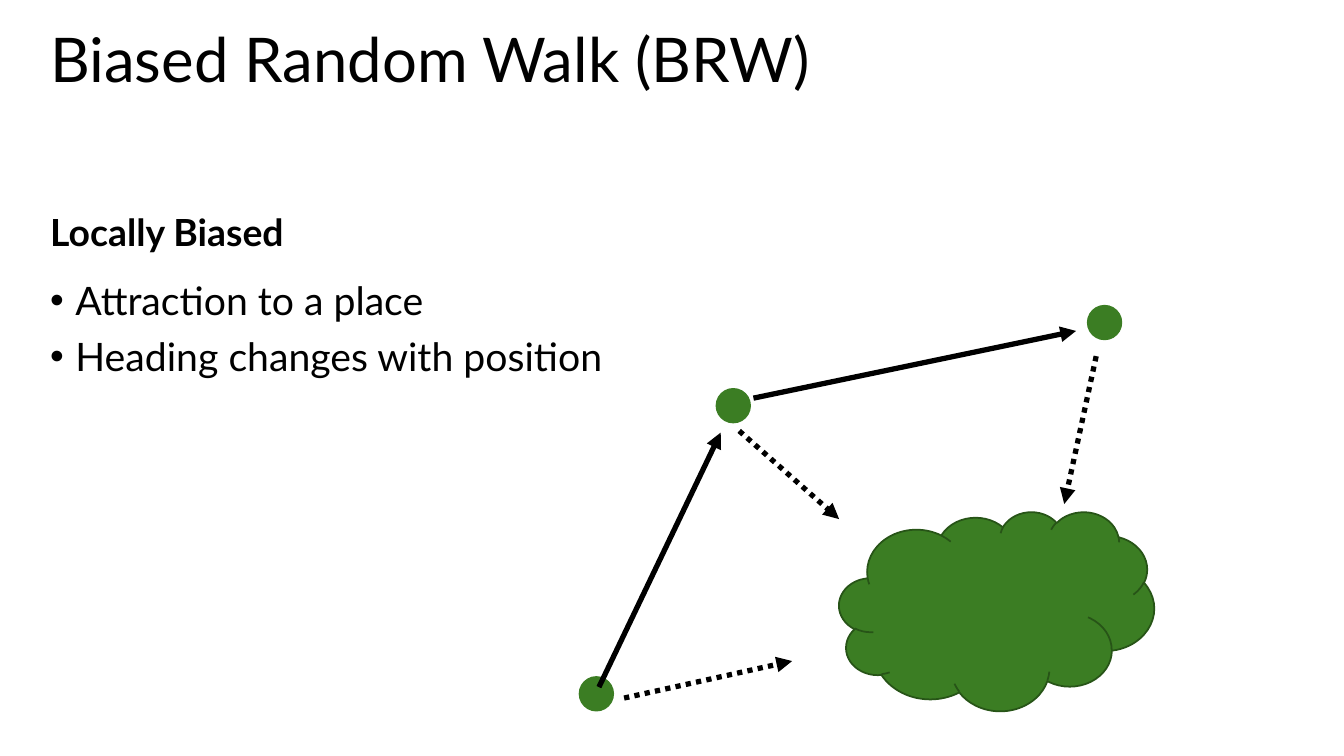
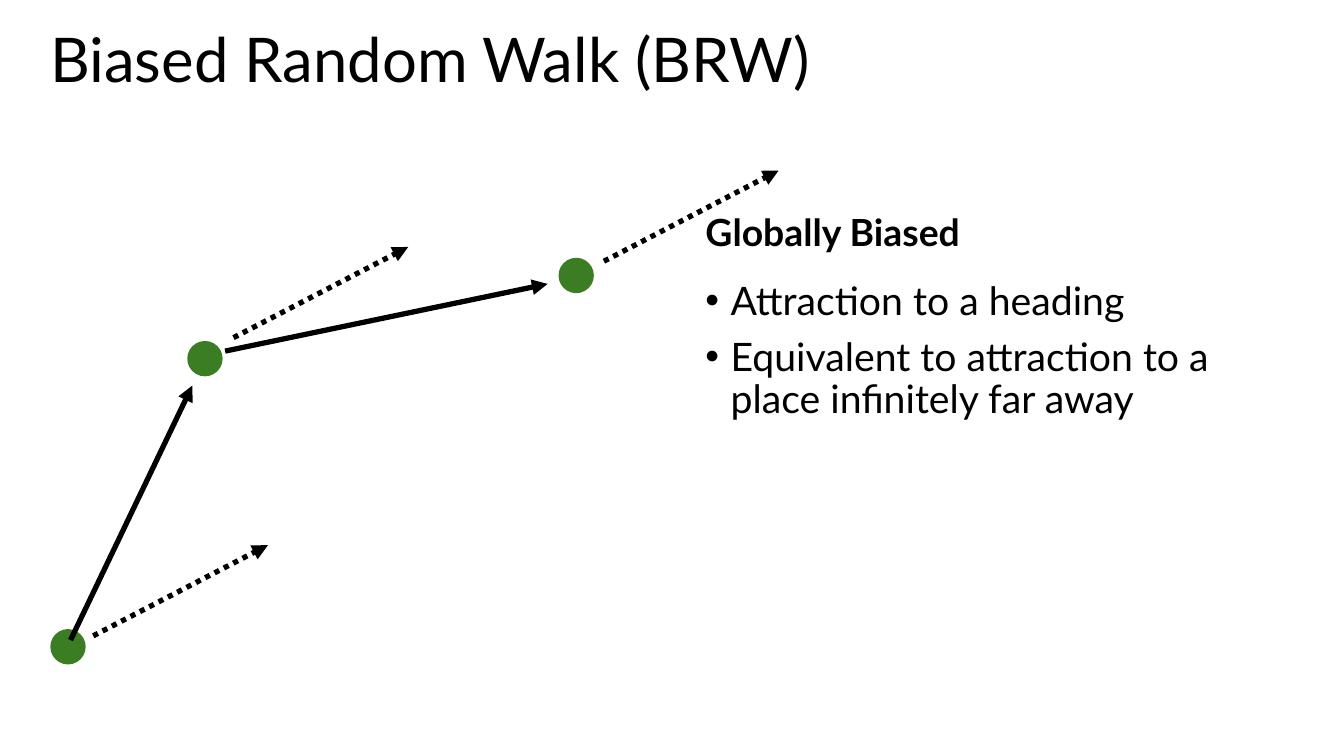
from lxml.etree import SubElement
from pptx import Presentation
from pptx.dml.color import RGBColor
from pptx.enum.dml import MSO_LINE
from pptx.enum.shapes import MSO_CONNECTOR, MSO_SHAPE as SHAPE
from pptx.enum.text import MSO_ANCHOR as ANCHOR, PP_ALIGN
from pptx.oxml.ns import qn
from pptx.util import Inches, Pt

BLACK = RGBColor(0x00, 0x00, 0x00)
GREEN = RGBColor(0x3B, 0x7D, 0x23)
DARK_GREEN = RGBColor(0x27, 0x54, 0x17)

COLS, ROWS = 16, 9
DOT = 0.4

# Walk geometry, relative to the centre of the first dot
STOPS = [(0, 0), (1.63, -3.43), (6.05, -4.42)]
STEPS = [((0.03, -0.08), (1.48, -3.11)), ((1.87, -3.52), (5.71, -4.32))]

TITLE = dict(size=Pt(52.8), bold=False)
HEADING = dict(size=Pt(32), bold=True)
BODY = dict(size=Pt(33.6), bold=False)


class Deck:
    """Shared style and the current slide, on a grid of 16 columns by 9 rows."""

    font = dict(name="Lato")

    def __init__(self):
        self.prs = Presentation()
        self.prs.slide_width, self.prs.slide_height = Inches(COLS), Inches(ROWS)
        self.slide = None

    def grid(self, col, row):
        return (round(self.prs.slide_width * col / COLS),
                round(self.prs.slide_height * row / ROWS))

    def new_slide(self, title):
        self.slide = self.prs.slides.add_slide(self.prs.slide_layouts[5])
        sp = self.slide.shapes.title
        sp.left, sp.top = self.grid(0.5, 0)
        sp.width, sp.height = self.grid(15, 1.5)
        self.fill_text(sp.text_frame, [title], TITLE, ANCHOR.MIDDLE)

    def fill_text(self, tf, lines, style, anchor, bullets=False):
        tf.word_wrap, tf.vertical_anchor = True, anchor
        for i, line in enumerate(lines):
            p = tf.add_paragraph() if i else tf.paragraphs[0]
            if bullets:
                pPr = p._p.get_or_add_pPr()
                pPr.set("marL", str(Inches(0.3)))
                pPr.set("indent", str(-Inches(0.3)))
                SubElement(pPr, qn("a:buFont"), typeface="Arial")
                SubElement(pPr, qn("a:buChar"), char="•")
            p.alignment, p.line_spacing = PP_ALIGN.LEFT, 0.9
            p.space_before = Pt(12 if i else 0)
            r = p.add_run()
            r.text = line
            for key, value in {**self.font, **style}.items():
                setattr(r.font, key, value)
            r.font.color.rgb = BLACK

    def text(self, col, row, height, *content, **options):
        sp = self.slide.shapes.add_textbox(*self.grid(col, row),
                                           *self.grid(7.2, height))
        self.fill_text(sp.text_frame, *content, **options)

    def topic(self, col, heading, points):
        self.text(col, 2, 1.08, [heading], HEADING, ANCHOR.BOTTOM)
        self.text(col, 3.3, 4.7, points, BODY, ANCHOR.TOP, bullets=True)

    def shape(self, kind, col, row, width, height, outline=GREEN):
        sp = self.slide.shapes.add_shape(kind, *self.grid(col, row),
                                         *self.grid(width, height))
        sp.shadow.inherit = False
        sp.fill.solid()
        sp.fill.fore_color.rgb = GREEN
        sp.line.color.rgb, sp.line.width = outline, Pt(1.5)

    def arrow(self, start, end, dotted=False):
        line = self.slide.shapes.add_connector(
            MSO_CONNECTOR.STRAIGHT, *self.grid(*start), *self.grid(*end))
        line.line.color.rgb, line.line.width = BLACK, Pt(4.5)
        if dotted:
            line.line.dash_style = MSO_LINE.ROUND_DOT
        spPr = line._element.spPr
        SubElement(spPr.find(qn("a:ln")), qn("a:tailEnd"), type="triangle")
        SubElement(spPr, qn("a:effectLst"))

    def walk(self, col, row):
        for dx, dy in STOPS:
            self.shape(SHAPE.OVAL, col + dx - DOT / 2, row + dy - DOT / 2, DOT, DOT)
        for (x1, y1), (x2, y2) in STEPS:
            self.arrow((col + x1, row + y1), (col + x2, row + y2))


def main():
    deck = Deck()

    # Local bias: every dotted arrow points to the cloud
    deck.new_slide("Biased Random Walk (BRW)")
    deck.topic(0.5, "Locally Biased",
               ["Attraction to a place", "Heading changes with position"])
    deck.walk(7.1, 8.26)
    for start, end in [((7.43, 8.31), (9.43, 7.87)),
                       ((8.8, 5.13), (9.99, 6.18)),
                       ((13.05, 4.24), (12.67, 6))]:
        deck.arrow(start, end, dotted=True)
    deck.shape(SHAPE.CLOUD, 9.99, 6.09, 3.75, 2.37, outline=DARK_GREEN)

    # Global bias: every dotted arrow has the same heading
    deck.new_slide("Biased Random Walk (BRW)")
    deck.topic(8.3, "Globally Biased",
               ["Attraction to a heading",
                "Equivalent to attraction to a place infinitely far away"])
    deck.walk(0.81, 7.7)
    for col, row in [(1.11, 7.57), (2.78, 4.02), (7.19, 3.11)]:
        deck.arrow((col, row), (col + 2.08, row - 1.08), dotted=True)

    deck.prs.save("out.pptx")


if __name__ == "__main__":
    main()
